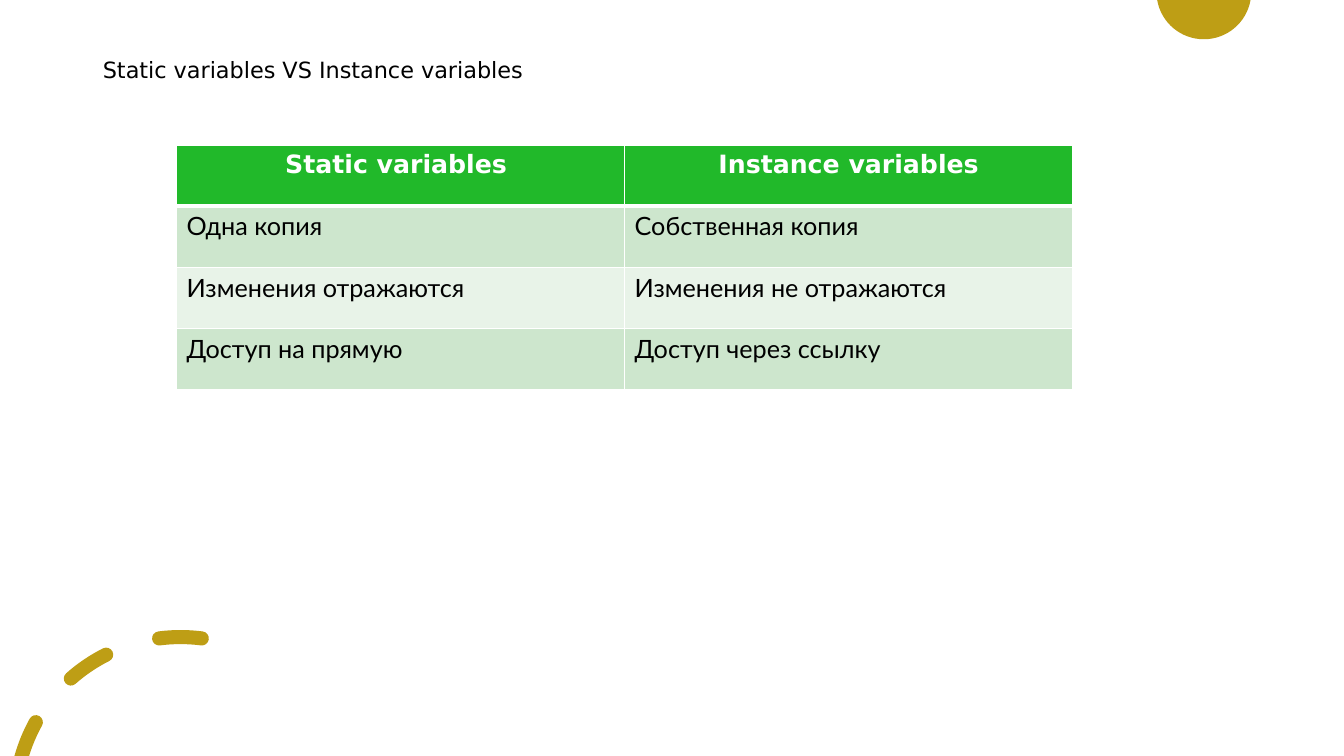
"""Build the slide comparing static and instance variables."""
import math
from dataclasses import dataclass

from lxml import etree
from pptx import Presentation
from pptx import util as u
from pptx.dml.color import RGBColor
from pptx.enum import text
from pptx.oxml import ns
from pptx.slide import Slide
from pptx.table import _Cell

GOLD = RGBColor(0xBE, 0x9E, 0x15)
GREEN = RGBColor(0x21, 0xB9, 0x2A)
BAND_DARK = RGBColor(0xCD, 0xE6, 0xCD)
BAND_LIGHT = RGBColor(0xE8, 0xF3, 0xE8)
WHITE = RGBColor(0xFF, 0xFF, 0xFF)
BLACK = RGBColor(0x00, 0x00, 0x00)

WIDTH, HEIGHT = 13.33, 7.5
RING_X, RING_Y, RING_RADIUS, HALF_STROKE = 1.79, 7.96, 1.64, 0.07
OUTER, INNER = RING_RADIUS + HALF_STROKE, RING_RADIUS - HALF_STROKE
HEADER_BORDERS = {"lnL": 1, "lnR": 1, "lnT": 1, "lnB": 3}

Points = list[tuple[float, float]]


@dataclass(frozen=True)
class Dash:
    start: float
    end: float


@dataclass(frozen=True)
class Row:
    cells: tuple[str, str]
    fill: RGBColor
    height: float
    header: bool = False


DASHES = [Dash(26.7, 41.5), Dash(-7.4, 7.4)]
CUT_DASH_START = 61

ROWS = [
    Row(("Static variables ", "Instance variables"), GREEN, 0.6, True),
    Row(("Одна копия", "Собственная копия"), BAND_DARK, 0.61),
    Row(("Изменения отражаются", "Изменения не отражаются"), BAND_LIGHT, 0.61),
    Row(("Доступ на прямую", "Доступ через ссылку"), BAND_DARK, 0.61),
]


def on_circle(x: float, y: float, radius: float, angle: float) -> tuple[float, float]:
    """Return a point at an angle counted anticlockwise from the top."""
    a = math.radians(angle)
    return x - radius * math.sin(a), y - radius * math.cos(a)


def arc(x: float, y: float, radius: float, start: float, end: float, pieces: int = 1) -> Points:
    """Return an arc as a start point and three Bezier points per piece."""
    step = (end - start) / pieces
    pull = 4 / 3 * math.tan(math.radians(step) / 4)
    points = [on_circle(x, y, radius, start)]
    for i in range(pieces):
        a, b = start + i * step, start + (i + 1) * step
        (ax, ay), (bx, by) = on_circle(x, y, radius, a), on_circle(x, y, radius, b)
        points += [
            (ax + pull * (ay - y), ay - pull * (ax - x)),
            (bx - pull * (by - y), by + pull * (bx - x)),
            (bx, by),
        ]
    return points


def cap(angle: float, turn: float) -> Points:
    """Return the Bezier points of a round end, without its start."""
    center = on_circle(RING_X, RING_Y, RING_RADIUS, angle)
    return arc(*center, HALF_STROKE, turn, turn + 180, 2)[1:]


def dash_outline(dash: Dash) -> Points:
    """Return the outline of a round-capped piece of the ring."""
    return [
        *arc(RING_X, RING_Y, OUTER, dash.start, dash.end),
        *cap(dash.end, dash.end),
        *arc(RING_X, RING_Y, INNER, dash.end, dash.start)[1:],
        *cap(dash.start, dash.start + 180),
    ]


def cut_dash_outline(start: float) -> Points:
    """Return the outline of the dash that ends flat on the slide's bottom."""
    outer_end, inner_end = (
        math.degrees(math.acos((RING_Y - HEIGHT) / radius)) for radius in (OUTER, INNER)
    )
    outer = arc(RING_X, RING_Y, OUTER, start, outer_end)
    inner = arc(RING_X, RING_Y, INNER, inner_end, start)
    return [*outer, outer[-1], inner[0], *inner, *cap(start, start + 180)]


def add_ornament(s: Slide, outlines: list[Points]) -> None:
    """Draw Bezier outlines as one gold shape."""
    builder = None
    for outline in outlines:
        first, *rest = [(u.Inches(x), u.Inches(y)) for x, y in outline]
        if builder is None:
            builder = s.shapes.build_freeform(*first, scale=1.0)
        else:
            builder.move_to(*first)
        builder.add_line_segments(rest, close=True)
    sp = builder.convert_to_shape()
    sp.shadow.inherit = False
    sp.fill.solid()
    sp.fill.fore_color.rgb = GOLD
    sp.line.fill.background()
    lines = list(sp.element.iter(ns.qn("a:lnTo")))
    for i in range(0, len(lines), 3):
        curve = etree.Element(ns.qn("a:cubicBezTo"))
        lines[i].addprevious(curve)
        for line in lines[i:i + 3]:
            curve.append(line[0])
            line.getparent().remove(line)


def add_title(s: Slide, title: str) -> None:
    """Place and format the title placeholder."""
    sp = s.shapes.title
    sp.left, sp.top = u.Inches(0.92), u.Inches(0.4)
    sp.width, sp.height = u.Inches(11.39), u.Inches(0.61)
    tf = sp.text_frame
    tf.text = title
    tf.auto_size = text.MSO_AUTO_SIZE.NONE
    tf.vertical_anchor = text.MSO_ANCHOR.MIDDLE
    p = tf.paragraphs[0]
    p.alignment = text.PP_ALIGN.LEFT
    p.line_spacing = 0.9
    p.font.size, p.font.name = u.Pt(16), "DejaVu Sans"
    p.font.color.rgb = BLACK


def set_borders(cell: _Cell, widths: dict[str, float]) -> None:
    """Give a cell white borders of the given widths in points."""
    tc_pr = cell._tc.get_or_add_tcPr()
    for i, (side, width) in enumerate(widths.items()):
        ln = etree.Element(ns.qn(f"a:{side}"), w=str(u.Pt(width)))
        fill = etree.SubElement(ln, ns.qn("a:solidFill"))
        etree.SubElement(fill, ns.qn("a:srgbClr"), val=str(WHITE))
        tc_pr.insert(i, ln)


def add_comparison(s: Slide, rows: list[Row]) -> None:
    """Draw the comparison table."""
    height = sum(row.height for row in rows)
    table = s.shapes.add_table(
        len(rows), 2, u.Inches(1.75), u.Inches(1.44), u.Inches(8.89), u.Inches(height)
    ).table
    for i, row in enumerate(rows):
        table.rows[i].height = u.Inches(row.height)
        for cell, words in zip(table.rows[i].cells, row.cells):
            cell.fill.solid()
            cell.fill.fore_color.rgb = row.fill
            cell.text = words
            p = cell.text_frame.paragraphs[0]
            p.alignment = text.PP_ALIGN.CENTER if row.header else text.PP_ALIGN.LEFT
            p.font.size, p.font.bold = u.Pt(18), row.header
            p.font.name = "DejaVu Sans" if row.header else "Lato"
            p.font.color.rgb = WHITE if row.header else BLACK
            if row.header:
                set_borders(cell, HEADER_BORDERS)


def main() -> None:
    """Assemble and save the presentation."""
    prs = Presentation()
    prs.slide_width, prs.slide_height = u.Inches(WIDTH), u.Inches(HEIGHT)
    s = prs.slides.add_slide(prs.slide_layouts[5])
    add_ornament(s, [arc(11.94, -0.08, 0.47, 100, 260, 2)])
    add_ornament(s, [cut_dash_outline(CUT_DASH_START), *map(dash_outline, DASHES)])
    add_title(s, "Static variables VS Instance variables")
    add_comparison(s, ROWS)
    prs.save("out.pptx")


if __name__ == "__main__":
    main()
